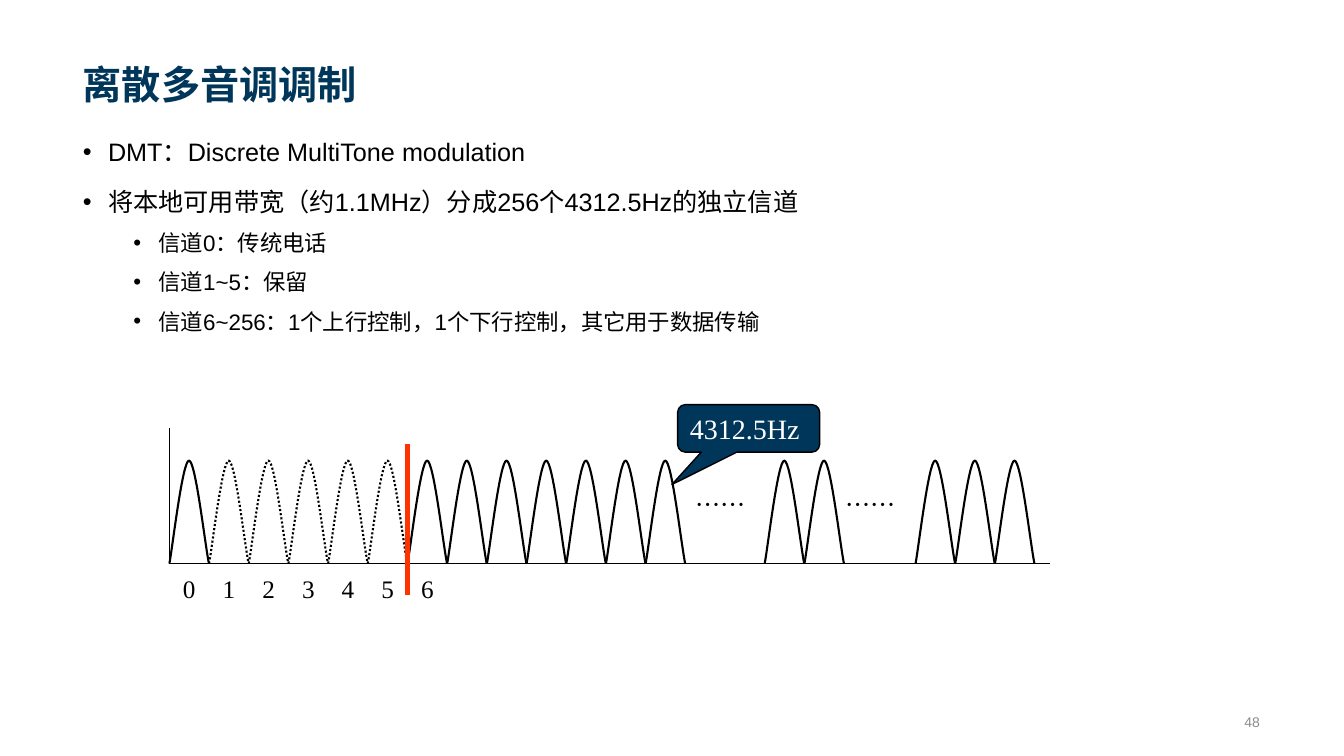
import pptx
import pptx.dml.color
import pptx.enum.dml
import pptx.enum.shapes
import pptx.enum.text
import pptx.oxml.ns
import pptx.util
from lxml import etree

Pt = pptx.util.Pt
RGBColor = pptx.dml.color.RGBColor
ALIGN = pptx.enum.text.PP_ALIGN
ANCHOR = pptx.enum.text.MSO_ANCHOR
qn = pptx.oxml.ns.qn

NAVY = RGBColor(0x00, 0x36, 0x59)
BLACK = RGBColor(0x00, 0x00, 0x00)
WHITE = RGBColor(0xFF, 0xFF, 0xFF)
GRAY = RGBColor(0x8C, 0x8C, 0x8C)
RED = RGBColor(0xFF, 0x33, 0x00)

SANS = "Arial"
SERIF = "Times New Roman"
CHINESE = "Noto Sans CJK SC"

AXIS_LEFT, AXIS_RIGHT, AXIS_TOP = 121, 750, 306
BASELINE = 402.5
CHANNEL_WIDTH = 28.35
RESERVED = range(1, 6)
FIRST_DATA_CHANNEL = 6
# Left edges of the channels, counted in channel widths from the axis
CHANNEL_SLOTS = [*range(13), 15, 16, 18.8, 19.8, 20.8]

# Two Bezier curves from the left foot of a tone, three points each, as (x, height)
TONE_CURVE_POINTS = [
    (2.3, 12.3), (9.4, 73.5), (14, 73.5),
    (18.7, 73.5), (25.2, 15.1), (28.2, 0),
]

BULLETS = [
    (0, "DMT：Discrete MultiTone modulation"),
    (0, "将本地可用带宽（约1.1MHz）分成256个4312.5Hz的独立信道"),
    (1, "信道0：传统电话"),
    (1, "信道1~5：保留"),
    (1, "信道6~256：1个上行控制，1个下行控制，其它用于数据传输"),
]


def place(shape, left, top, width, height):
    shape.left, shape.top = Pt(left), Pt(top)
    shape.width, shape.height = Pt(width), Pt(height)


def set_font(paragraph, name, size, color, bold=False):
    font = paragraph.font
    font.name, font.size, font.bold = name, Pt(size), bold
    font.color.rgb = color
    east_asian = etree.Element(qn("a:ea"), typeface=CHINESE)
    font._element.find(qn("a:latin")).addnext(east_asian)


def set_bullet(paragraph, indent):
    properties = paragraph._p.get_or_add_pPr()
    properties.set("marL", str(Pt(indent)))
    properties.set("indent", str(-Pt(18)))
    etree.SubElement(properties, qn("a:buFont"), typeface=SANS)
    etree.SubElement(properties, qn("a:buChar"), char="•")


def fill_title(slide):
    title = slide.shapes.title
    place(title, 52, 10, 855, 70.5)
    frame = title.text_frame
    frame.text = "离散多音调调制"
    frame.vertical_anchor = ANCHOR.BOTTOM
    frame.auto_size = pptx.enum.text.MSO_AUTO_SIZE.NONE
    paragraph = frame.paragraphs[0]
    paragraph.alignment = ALIGN.LEFT
    set_font(paragraph, SANS, 28, NAVY, bold=True)


def fill_bullets(slide):
    body = slide.placeholders[1]
    place(body, 52, 89.5, 854.5, 192)
    frame = body.text_frame
    frame.text = "\n".join(text for _, text in BULLETS)
    frame.auto_size = pptx.enum.text.MSO_AUTO_SIZE.NONE
    for index, (level, _) in enumerate(BULLETS):
        paragraph = frame.paragraphs[index]
        paragraph.level = level
        paragraph.line_spacing = 1.2
        paragraph.space_before = Pt((10, 5)[level] if index else 0)
        set_bullet(paragraph, (18, 54)[level])
        set_font(paragraph, SANS, (18, 16)[level], BLACK)


def add_text(slide, box, text, font, size, color, align=ALIGN.LEFT, anchor=ANCHOR.TOP):
    shape = slide.shapes.add_textbox(*map(Pt, box))
    frame = shape.text_frame
    frame.word_wrap = True
    frame.vertical_anchor = anchor
    frame.text = text
    frame.paragraphs[0].alignment = align
    set_font(frame.paragraphs[0], font, size, color)


def add_line(slide, start, end, color, width):
    line = slide.shapes.add_connector(
        pptx.enum.shapes.MSO_CONNECTOR.STRAIGHT, *map(Pt, start + end))
    line.line.color.rgb = color
    line.line.width = Pt(width)
    etree.SubElement(line._element.spPr, qn("a:effectLst"))


def curve_segments(shape):
    """Turn each three straight segments of a freeform into one Bezier curve."""
    segments = list(shape._element.iter(qn("a:lnTo")))
    for start in range(0, len(segments), 3):
        curve = etree.Element(qn("a:cubicBezTo"))
        segments[start].addprevious(curve)
        for segment in segments[start:start + 3]:
            curve.append(segment[0])
            segment.getparent().remove(segment)


def add_tone(slide, slot):
    """Draw the arch of one channel, dotted when it is reserved."""
    left = AXIS_LEFT + slot * CHANNEL_WIDTH
    builder = slide.shapes.build_freeform(Pt(left), Pt(BASELINE))
    builder.add_line_segments(
        [(Pt(left + x), Pt(BASELINE - height)) for x, height in TONE_CURVE_POINTS],
        close=False)
    tone = builder.convert_to_shape()
    curve_segments(tone)
    tone.shadow.inherit = False
    tone.fill.background()
    tone.line.color.rgb = BLACK
    tone.line.width = Pt(1.5)
    if slot in RESERVED:
        tone.line.dash_style = pptx.enum.dml.MSO_LINE.ROUND_DOT


def add_channel_numbers(slide):
    count = FIRST_DATA_CHANNEL + 1
    table = slide.shapes.add_table(
        1, count, Pt(AXIS_LEFT), Pt(408), Pt(count * CHANNEL_WIDTH), Pt(28.5)).table
    table.first_row = table.horz_banding = False
    for number in range(count):
        table.columns[number].width = Pt(CHANNEL_WIDTH)
        cell = table.cell(0, number)
        cell.fill.background()
        cell.text = str(number)
        paragraph = cell.text_frame.paragraphs[0]
        paragraph.alignment = ALIGN.CENTER
        set_font(paragraph, SERIF, 18, BLACK)


def add_bandwidth_callout(slide):
    callout = slide.shapes.add_shape(
        pptx.enum.shapes.MSO_SHAPE.ROUNDED_RECTANGULAR_CALLOUT,
        Pt(484), Pt(289), Pt(101.5), Pt(34))
    callout.adjustments[0], callout.adjustments[1] = -0.54, 1.18
    callout.shadow.inherit = False
    callout.fill.solid()
    callout.fill.fore_color.rgb = NAVY
    callout.line.color.rgb = BLACK
    callout.line.width = Pt(1)
    frame = callout.text_frame
    frame.text = "4312.5Hz"
    frame.vertical_anchor = ANCHOR.MIDDLE
    frame.paragraphs[0].alignment = ALIGN.LEFT
    set_font(frame.paragraphs[0], SERIF, 20, WHITE)


def main():
    presentation = pptx.Presentation()
    presentation.slide_width, presentation.slide_height = Pt(960), Pt(540)
    slide = presentation.slides.add_slide(presentation.slide_layouts[1])
    fill_title(slide)
    fill_bullets(slide)
    add_text(slide, (612, 504.5, 295, 22), "48", SANS, 10, GRAY, ALIGN.RIGHT, ANCHOR.MIDDLE)

    add_line(slide, (AXIS_LEFT, AXIS_TOP), (AXIS_LEFT, BASELINE), BLACK, 1)
    add_line(slide, (AXIS_LEFT, BASELINE), (AXIS_RIGHT, BASELINE), BLACK, 1)
    for slot in CHANNEL_SLOTS:
        add_tone(slide, slot)
    add_channel_numbers(slide)
    divider = AXIS_LEFT + FIRST_DATA_CHANNEL * CHANNEL_WIDTH
    add_line(slide, (divider, 317.5), (divider, 425), RED, 3)
    for left in (489.5, 597):
        add_text(slide, (left, 346, 62.5, 36), "……", CHINESE, 18, BLACK)
    add_bandwidth_callout(slide)
    presentation.save("out.pptx")


if __name__ == "__main__":
    main()
